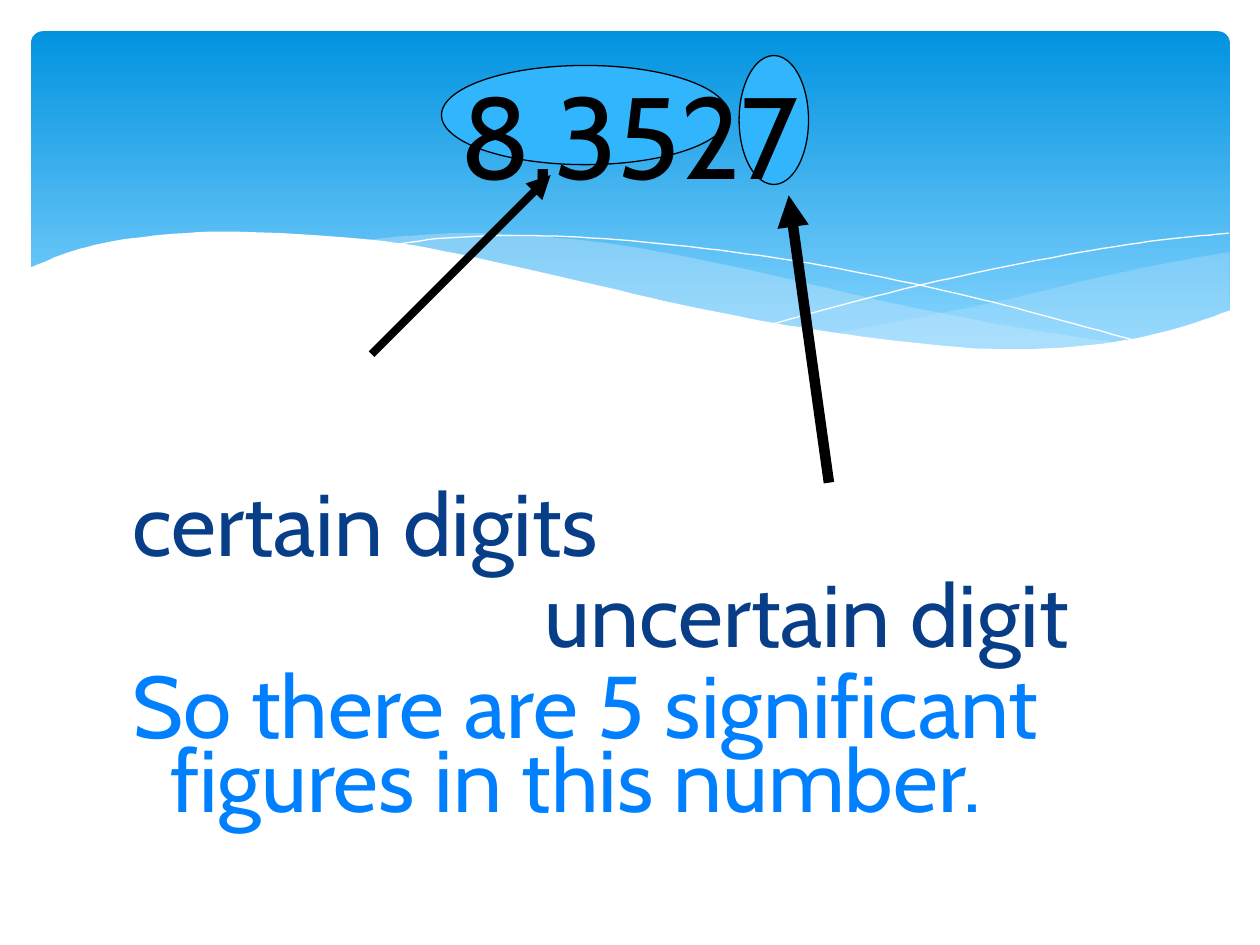
from lxml.etree import SubElement
from pptx import Presentation
from pptx.dml.color import RGBColor
from pptx.enum.shapes import MSO_CONNECTOR, MSO_SHAPE
from pptx.enum.text import MSO_ANCHOR, PP_ALIGN
from pptx.oxml.ns import qn
from pptx.util import Cm, Pt

HUES = {"deep": "0293E0", "sky": "83D3FE", "pale": "C6E7FC", "white": "FFFFFF",
        "black": "000000", "oval": "31B6FD", "navy": "073E87", "blue": "0080FF"}

RIGHT = [[(24.79, 5.08), (23.39, 5.33), (21.87, 5.66), (19.79, 6.15), (16.79, 6.73)],
         [(16.79, 6.73), (18.59, 6.96), (20.4, 7.06), (22.15, 6.96), (23.57, 6.68),
          (24.79, 6.27)]]
MIDDLE = [[(22.68, 6.93), (20.5, 6.6), (17.93, 6.1), (15.98, 5.64), (13.74, 5.16),
           (11.81, 4.85), (9.65, 4.7), (8.33, 4.75), (7.26, 4.85)],
          [(7.26, 4.85), (9.19, 5.16), (11.4, 5.64), (14.38, 6.3), (16.51, 6.71),
           (18.34, 6.96), (20.22, 7.06), (21.54, 7.04), (22.68, 6.93)]]
FALL = [(7.85, 4.95), (8.97, 4.8), (10.57, 4.75), (12.42, 4.83), (14.78, 5.08),
        (16.89, 5.41), (19.3, 5.92), (21.11, 6.38), (23.04, 6.91)]
RISE = [(15.57, 6.53), (17.65, 5.97), (19.71, 5.49), (22, 5.05), (23.47, 4.83),
        (24.77, 4.7)]
FRONT = [[(0.58, 5.41), (1.5, 5.05), (2.69, 4.8), (4.5, 4.67), (6.88, 4.78),
          (8.64, 5), (11.35, 5.59), (14.1, 6.22), (16.46, 6.65), (18.9, 6.96),
          (20.55, 7.04), (22.23, 6.93), (23.62, 6.65), (24.82, 6.25)],
         [(24.82, 8.36), (0.58, 8.36)]]


def tint(name):
    return RGBColor.from_string(HUES[name])


def curve(knots, steps=8):
    if len(knots) < 3:
        return knots
    ends = [knots[0], *knots, knots[-1]]
    dots = [knots[0]]
    for a, b, c, d in zip(ends, ends[1:], ends[2:], ends[3:]):
        for n in range(1, steps + 1):
            t = n / steps
            dots.append(tuple(
                (2 * q + (r - p) * t + (2 * p - 5 * q + 4 * r - s) * t ** 2
                 + (3 * q - p - 3 * r + s) * t ** 3) / 2
                for p, q, r, s in zip(a, b, c, d)))
    return dots


def write(para, text, size=50, hue="navy", face="Cabin", align=PP_ALIGN.LEFT,
          left=0, first=0, line=None, before=0):
    props = para._p.get_or_add_pPr()
    props.set("marL", str(Cm(left)))
    props.set("indent", str(Cm(first)))
    para.alignment = align
    para.line_spacing = line
    para.space_before = Pt(before)
    run = para.add_run()
    run.text = text
    run.font.size = Pt(size)
    run.font.name = face
    run.font.color.rgb = tint(hue)


class Deck:
    """Hold the style and the current slide, and draw each kind of element."""

    def __init__(self):
        self.show = Presentation()
        self.show.slide_width, self.show.slide_height = Cm(25.4), Cm(19.05)
        self.slide = self.show.slides.add_slide(self.show.slide_layouts[6])
        self.shapes = self.slide.shapes

    def panel(self, x, y, w, h):
        box = self.shapes.add_shape(MSO_SHAPE.ROUNDED_RECTANGLE, Cm(x), Cm(y), Cm(w), Cm(h))
        box.adjustments[0] = 0.034
        box.shadow.inherit = False
        box.line.fill.background()
        box.fill.gradient()
        box.fill.gradient_angle = 270
        for stop, hue, place in zip(box.fill.gradient_stops, ("deep", "sky"), (0, 0.9)):
            stop.color.rgb = tint(hue)
            stop.position = place

    def wave(self, parts, hue, alpha=100):
        shape = self.trace([dot for part in parts for dot in curve(part)], True)
        shape.fill.solid()
        shape.fill.fore_color.rgb = tint(hue)
        shape.line.fill.background()
        if alpha < 100:
            mark = shape.fill._xPr.find(".//" + qn("a:srgbClr"))
            SubElement(mark, qn("a:alpha")).set("val", str(alpha * 1000))

    def thread(self, knots):
        shape = self.trace(curve(knots), False)
        shape.fill.background()
        shape.line.color.rgb = tint("white")
        shape.line.width = Pt(0)

    def trace(self, dots, close):
        grid = [(x * 100, y * 100) for x, y in dots]
        path = self.shapes.build_freeform(*grid[0], scale=Cm(0.01))
        path.add_line_segments(grid[1:], close=close)
        shape = path.convert_to_shape()
        shape.shadow.inherit = False
        return shape

    def oval(self, x, y, w, h):
        ring = self.shapes.add_shape(MSO_SHAPE.OVAL, Cm(x), Cm(y), Cm(w), Cm(h))
        ring.shadow.inherit = False
        ring.fill.solid()
        ring.fill.fore_color.rgb = tint("oval")
        ring.line.color.rgb = tint("black")
        ring.line.width = Pt(0.75)

    def text(self, x, y, w, h, items, anchor=MSO_ANCHOR.TOP, top=0.13):
        frame = self.shapes.add_textbox(Cm(x), Cm(y), Cm(w), Cm(h)).text_frame
        frame.word_wrap = True
        frame.vertical_anchor = anchor
        frame.margin_top = Cm(top)
        for n, (words, form) in enumerate(items):
            para = frame.add_paragraph() if n else frame.paragraphs[0]
            write(para, words, **form)

    def arrow(self, x1, y1, x2, y2, width):
        link = self.shapes.add_connector(MSO_CONNECTOR.STRAIGHT,
                                         Cm(x1), Cm(y1), Cm(x2), Cm(y2))
        link.line.color.rgb = tint("black")
        link.line.width = Pt(width)
        SubElement(link.line._get_or_add_ln(), qn("a:tailEnd")).set("type", "triangle")
        SubElement(link._element.spPr, qn("a:effectLst"))


def main():
    deck = Deck()
    deck.panel(0.63, 0.63, 24.16, 6.86)
    deck.wave(RIGHT, "pale", 29)
    deck.wave(MIDDLE, "pale", 40)
    deck.thread(FALL)
    deck.thread(RISE)
    deck.wave(FRONT, "white")
    deck.oval(14.9, 1.12, 1.4, 2.6)
    deck.oval(8.9, 1.32, 5.79, 2)
    hang = dict(left=0.76, first=-0.76, line=0.7)
    deck.text(2.42, 7.44, 20.57, 9.58, [
        ("certain digits", hang),
        ("uncertain digit", dict(left=8.31, line=0.7, before=10)),
        ("So there are 5 significant figures in this number.",
         dict(hang, hue="blue", before=10))], top=2.6)
    deck.text(1.27, 0.94, 22.86, 3.48,
              [("8.3527", dict(size=66, hue="black", align=PP_ALIGN.CENTER))],
              MSO_ANCHOR.MIDDLE)
    deck.arrow(7.49, 7.14, 11.1, 3.53, 4.5)
    deck.arrow(16.71, 9.73, 15.9, 3.94, 6)
    deck.show.save("out.pptx")


if __name__ == "__main__":
    main()
